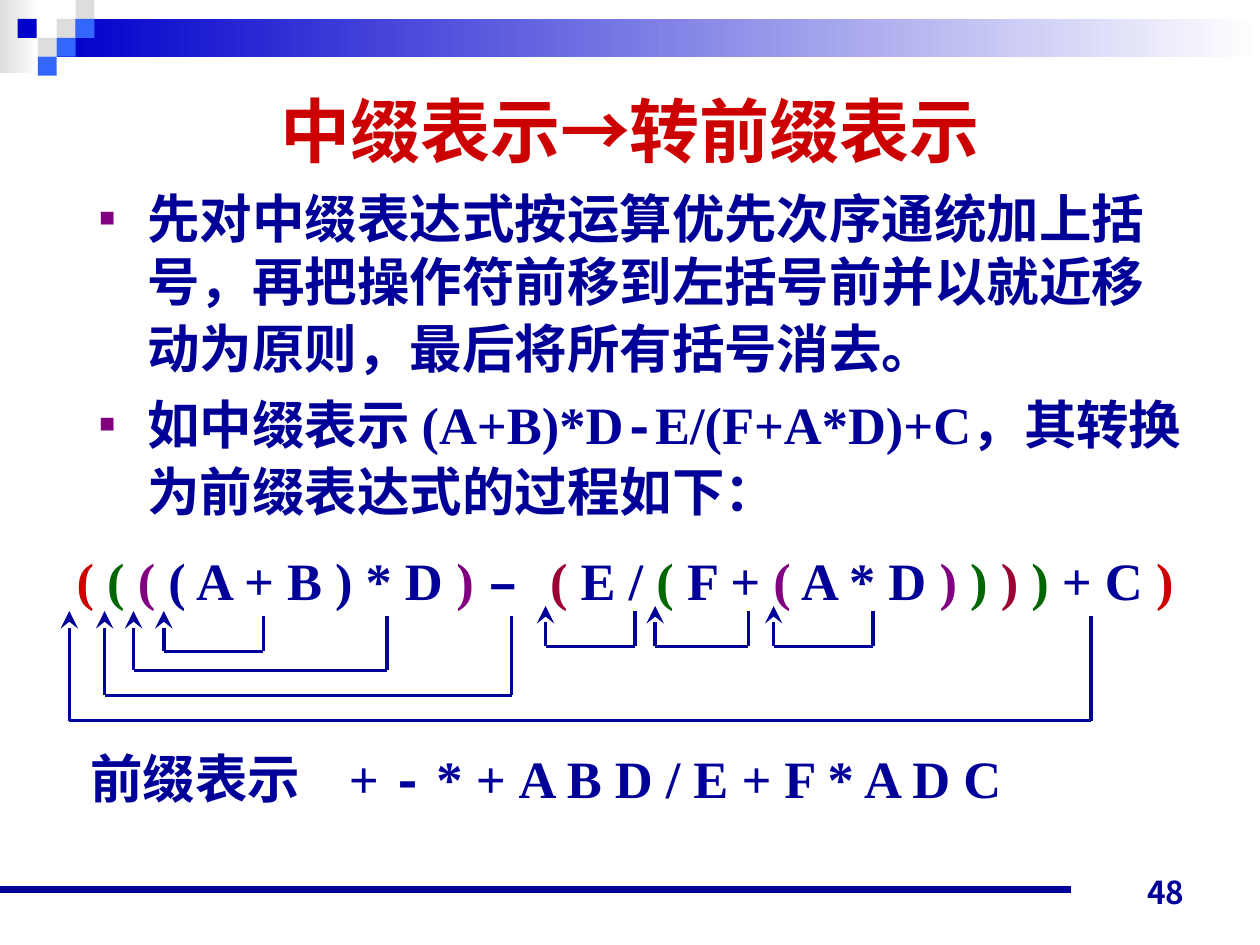
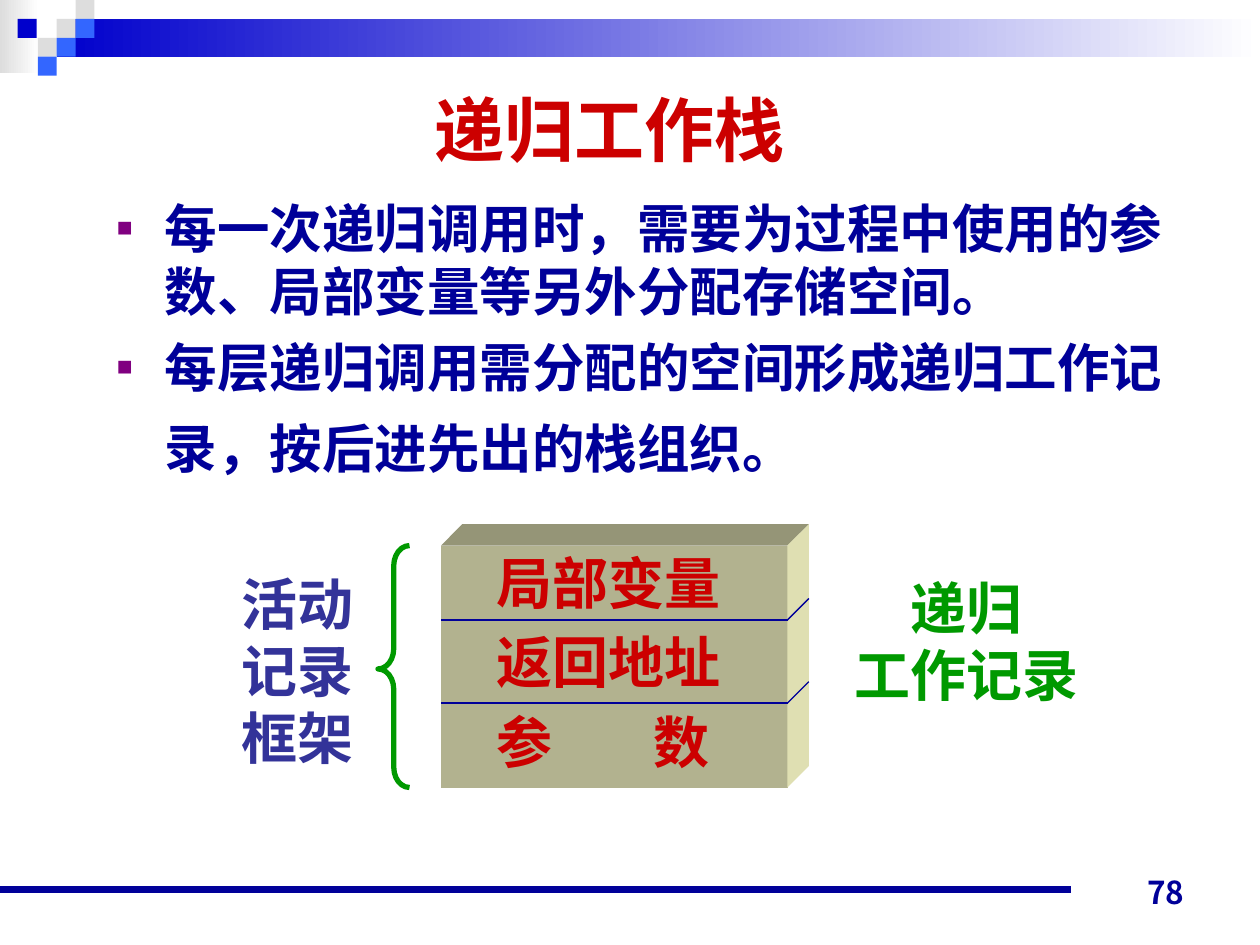
from lxml import etree
from pptx import Presentation
from pptx.dml.color import RGBColor
from pptx.enum import shapes as kinds, text as txt
from pptx.oxml import ns
from pptx.util import Inches, Pt

NAVY = RGBColor(0x00, 0x00, 0x99)
BLUE = RGBColor(0x00, 0x00, 0xCC)
SKY = RGBColor(0x33, 0x66, 0xFF)
GRAY = RGBColor(0xDD, 0xDD, 0xDD)
WHITE = RGBColor(0xFF, 0xFF, 0xFF)
RED = RGBColor(0xCC, 0x00, 0x00)
WINE = RGBColor(0x99, 0x00, 0x33)
PURPLE = RGBColor(0x80, 0x00, 0x80)
FOREST = RGBColor(0x00, 0x66, 0x00)
GREEN = RGBColor(0x00, 0x99, 0x00)
INDIGO = RGBColor(0x33, 0x33, 0x99)
STACK_FRONT = RGBColor(0xB2, 0xB2, 0x8F)
STACK_TOP = RGBColor(0x95, 0x95, 0x77)
STACK_SIDE = RGBColor(0xDF, 0xDF, 0xB2)

ARIAL, TIMES, COURIER = "Arial", "Times New Roman", "Courier New"
CJK, CJK_NUMBER = "Noto Sans CJK SC", "Noto Sans CJK JP"


def add_child(parent, tag, **attributes):
    """Append a DrawingML element to a parent."""
    return etree.SubElement(parent, ns.qn(tag), attributes)


def add_runs(paragraph, runs, size, font, color):
    """Fill a paragraph with bold runs given as (text, overrides)."""
    for words, changes in runs:
        run = paragraph.add_run()
        run.text = words
        run.font.size = Pt(changes.get("size", size))
        run.font.name = changes.get("font", font)
        run.font.bold = changes.get("bold", True)
        run.font.color.rgb = changes.get("color", color)
        add_child(run.font._element, "a:ea", typeface=CJK)


def add_text(slide, box, paragraphs, size, font, color, align=txt.PP_ALIGN.LEFT,
             anchor=txt.MSO_ANCHOR.TOP, spacing=1.0, before=0, tab=None, bullets=False):
    """Place paragraphs, each a string or a list of runs, in a box."""
    frame = slide.shapes.add_textbox(*map(Inches, box)).text_frame
    frame.word_wrap = True
    frame.vertical_anchor = anchor
    for index, content in enumerate(paragraphs):
        paragraph = frame.add_paragraph() if index else frame.paragraphs[0]
        paragraph.alignment = align
        paragraph.line_spacing = spacing
        if index and before:
            paragraph.space_before = Pt(before)
        properties = paragraph._p.get_or_add_pPr()
        if bullets:
            properties.set("marL", str(Inches(0.38)))
            properties.set("indent", str(-Inches(0.38)))
            add_child(add_child(properties, "a:buClr"), "a:srgbClr", val=str(PURPLE))
            add_child(properties, "a:buSzPct", val="50000")
            add_child(properties, "a:buFont", typeface=ARIAL)
            add_child(properties, "a:buChar", char="■")
        if tab:
            add_child(add_child(properties, "a:tabLst"), "a:tab", pos=str(Inches(tab)), algn="l")
        runs = [(content, {})] if isinstance(content, str) else content
        add_runs(paragraph, runs, size, font, color)


def add_line(slide, start, end, width, arrow=False):
    """Draw a straight navy line, with a large stealth head at its end if asked."""
    line = slide.shapes.add_connector(
        kinds.MSO_CONNECTOR.STRAIGHT, *map(Inches, (*start, *end)))
    line.line.color.rgb = NAVY
    line.line.width = Pt(width)
    if arrow:
        add_child(line.line._get_or_add_ln(), "a:tailEnd", type="stealth", w="lg", len="lg")
    add_child(line._element.spPr, "a:effectLst")


def add_rect(slide, box, color, fade=False):
    """Draw a borderless rectangle, plain or fading to white."""
    rect = slide.shapes.add_shape(kinds.MSO_SHAPE.RECTANGLE, *map(Inches, box))
    rect.shadow.inherit = False
    rect.line.fill.background()
    if fade:
        rect.fill.gradient()
        rect.fill.gradient_angle = 0
        for stop, shade in zip(rect.fill.gradient_stops, (color, WHITE)):
            stop.color.rgb = shade
    else:
        rect.fill.solid()
        rect.fill.fore_color.rgb = color


def add_face(slide, points, color):
    """Draw one filled face of the stack block."""
    corners = [(Inches(x), Inches(y)) for x, y in points]
    builder = slide.shapes.build_freeform(*corners[0])
    builder.add_line_segments(corners[1:])
    face = builder.convert_to_shape()
    face.shadow.inherit = False
    face.fill.solid()
    face.fill.fore_color.rgb = color
    face.line.fill.background()


def add_page(deck, number, title_runs, title_box):
    """Start a slide with the shared band, title, rule and number."""
    slide = deck.slides.add_slide(deck.slide_layouts[6])
    add_rect(slide, (0, 0, 0.31, 0.58), GRAY, fade=True)
    add_rect(slide, (0.45, 0.15, 9.55, 0.3), BLUE, fade=True)
    for left, top, color in (
            (0.45, 0.15, GRAY), (0.6, 0, GRAY), (0.6, 0.15, SKY), (0.3, 0.3, GRAY),
            (0.14, 0.15, BLUE), (0.45, 0.3, SKY), (0.3, 0.45, SKY)):
        add_rect(slide, (left, top, 0.15, 0.15), color)
    add_line(slide, (0, 7.06), (8.5, 7.06), 4.5)
    add_text(slide, (7.17, 6.78, 2.33, 0.5), [str(number)], 18, CJK_NUMBER, NAVY,
             txt.PP_ALIGN.RIGHT, txt.MSO_ANCHOR.BOTTOM)
    add_text(slide, title_box, [title_runs], 40, ARIAL, RED,
             txt.PP_ALIGN.CENTER, txt.MSO_ANCHOR.MIDDLE)
    return slide


def add_body(slide, box, paragraphs):
    """Place the bulleted body text."""
    add_text(slide, box, paragraphs, 30, ARIAL, NAVY, before=7.3, bullets=True)


def add_moves(slide, left, top):
    """Draw the hooks that carry each operator to its left bracket."""
    hooks = (
        (0.79, 1.58, 0.04, 0.36), (0.55, 2.56, 0.04, 0.51),
        (5.63, 6.42, 0, 0.32), (4.69, 5.43, 0, 0.32),
        (0.32, 3.55, 0.04, 0.71), (3.82, 4.53, 0, 0.32), (0.04, 8.15, 0.04, 0.91))
    for bracket, operator, tip, base in hooks:
        bracket_x, operator_x = left + bracket, left + operator
        base_y = top + base
        add_line(slide, (bracket_x, base_y), (bracket_x, top + tip), 2, arrow=True)
        add_line(slide, (operator_x, base_y), (bracket_x, base_y), 1.75)
        add_line(slide, (operator_x, base_y), (operator_x, top + tip + 0.04), 2)


def add_stack(slide, left, top, width, height, depth):
    """Draw the three-layer block with its layer names."""
    right, bottom = left + width, top + height
    add_face(slide, [(left, top), (right, top), (right, bottom), (left, bottom)], STACK_FRONT)
    add_face(slide, [(left, top), (left + depth, top - depth),
                     (right + depth, top - depth), (right, top)], STACK_TOP)
    add_face(slide, [(right, top), (right + depth, top - depth),
                     (right + depth, bottom - depth), (right, bottom)], STACK_SIDE)
    for seam in (top + 0.59, top + 1.25):
        add_line(slide, (left, seam), (right, seam), 0.75)
        add_line(slide, (right, seam), (right + depth, seam - depth), 0.75)
    add_text(slide, (left + 0.34, top - 0.08, 2.24, 1.97), ["局部变量", "返回地址", "参\t数"],
             32, TIMES, RED, spacing=1.1, before=3.2, tab=1.25)


def build_prefix_slide(deck):
    """Build the slide on turning infix into prefix form."""
    slide = add_page(deck, 48, [("中缀表示", {}), ("→", {"font": COURIER}), ("转前缀表示", {})],
                     (0.5, 0.5, 9, 1.05))
    times, dash, cjk = {"font": TIMES}, {"font": COURIER}, {"font": CJK}
    line_end = (" ", {"size": 32, "bold": False})
    add_body(slide, (0.69, 1.43, 8.8, 2.84), [
        [("先对中缀表达式按运算优先次序通统加上括号，再把操作符前移到左括号前"
          "并以就近移动为原则，最后将所有括号消去。", {}), line_end],
        [("如中缀表示 ", cjk), ("(A+B)*D", times), ("-", dash), ("E/(F+A*D)+C", times),
         ("，其转换为前缀表达式的过程如下：", cjk), line_end]])
    expression = (
        ("( ", RED), ("( ", FOREST), ("(", PURPLE), (" ( A + B ) * D ", NAVY), (") ", PURPLE),
        ("– ", NAVY), ("(", WINE), (" E / ", NAVY), ("(", FOREST), (" F + ", NAVY),
        ("(", PURPLE), (" A * D ", NAVY), (") ", PURPLE), (") ", FOREST), (") ", WINE),
        (")", FOREST), (" + C ", NAVY), (")", RED))
    add_text(slide, (0.51, 4.3, 9.4, 0.6),
             [[(part, {"color": color, "font": COURIER if part == "– " else TIMES})
               for part, color in expression]], 30, TIMES, NAVY)
    add_moves(slide, 0.51, 4.81)
    add_text(slide, (0.62, 5.87, 7.8, 0.6),
             [[("前缀表示\t+ ", {}), ("-", dash), (" * + A B D / E + F * A D C", {})]],
             30, TIMES, NAVY, tab=2.05)


def build_stack_slide(deck):
    """Build the slide on the recursion work stack."""
    slide = add_page(deck, 78, [("递归工作栈", {})], (1.5, 0.58, 6.67, 0.88))
    add_body(slide, (0.83, 1.51, 8.5, 5.67), [
        "每一次递归调用时，需要为过程中使用的参数、局部变量等另外分配存储空间。",
        [("每层递归调用需分配的空间形成递归工作记录，按后进先出的栈组织。", {}),
         (" ", {"size": 40})]])
    add_stack(slide, 3.5, 4.33, 2.75, 1.92, 0.17)
    brace = slide.shapes.add_shape(
        kinds.MSO_SHAPE.LEFT_BRACE, *map(Inches, (3, 4.33, 0.25, 1.92)))
    brace.shadow.inherit = False
    brace.adjustments[0], brace.adjustments[1] = 0.64, 0.51
    brace.fill.background()
    brace.line.color.rgb = GREEN
    brace.line.width = Pt(3)
    add_text(slide, (1.82, 4.47, 1.18, 1.7), ["活动记录框架"], 32, TIMES, INDIGO)
    add_text(slide, (6.68, 4.5, 1.99, 1.17), ["递归", "工作记录"], 32, TIMES, GREEN,
             txt.PP_ALIGN.CENTER)


def main():
    """Build and save the deck."""
    deck = Presentation()
    deck.slide_width, deck.slide_height = Inches(10), Inches(7.5)
    build_prefix_slide(deck)
    build_stack_slide(deck)
    deck.save("out.pptx")


if __name__ == "__main__":
    main()
